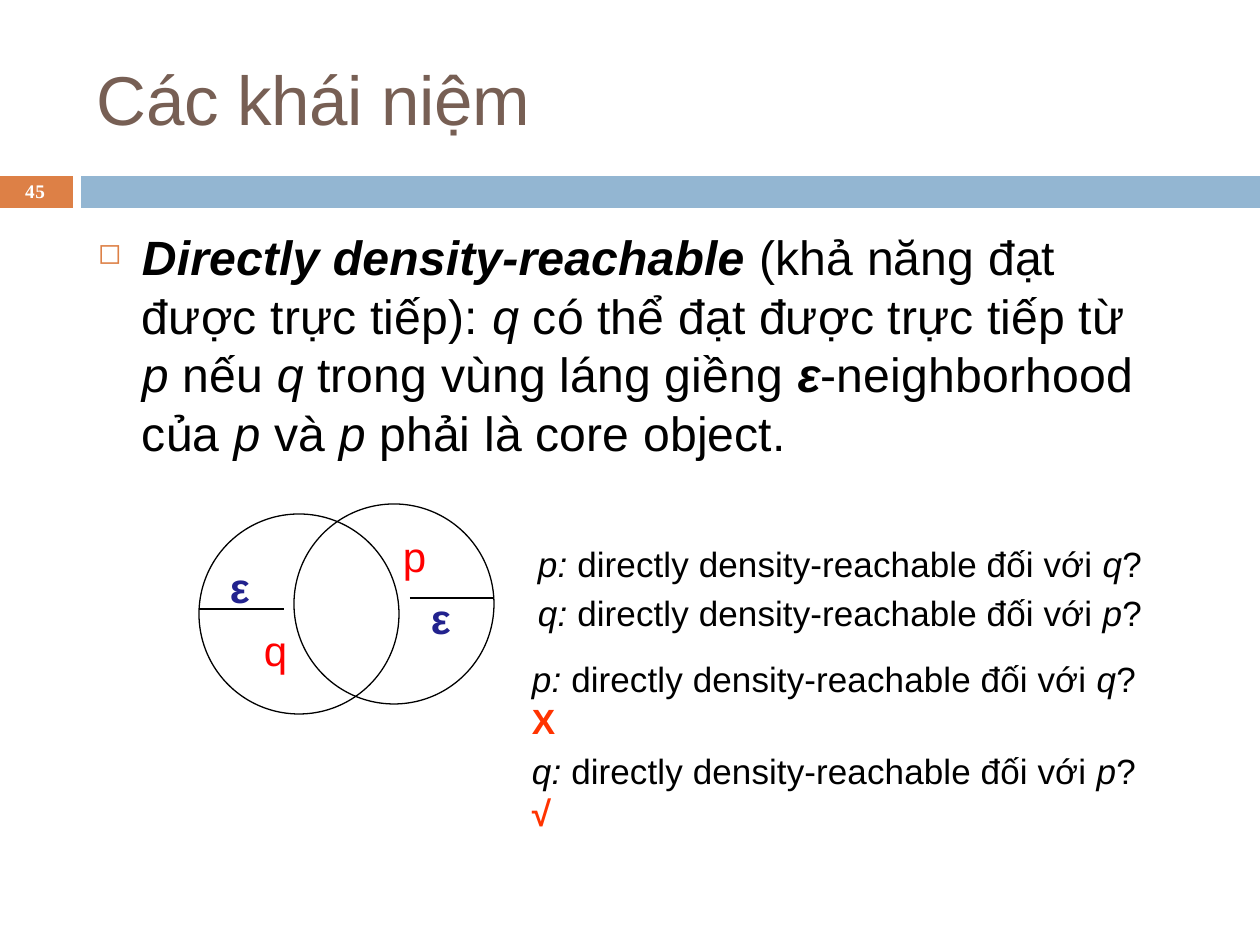
from dataclasses import dataclass
from typing import NamedTuple

from lxml import etree
from pptx import Presentation
from pptx.dml.color import RGBColor
from pptx.enum.shapes import MSO_CONNECTOR, MSO_SHAPE
from pptx.oxml.ns import qn
from pptx.util import Pt

RECT, OVAL = MSO_SHAPE.RECTANGLE, MSO_SHAPE.OVAL
STRAIGHT = MSO_CONNECTOR.STRAIGHT
EMU_PER_PX = 914400 / 126


@dataclass(frozen=True)
class Theme:
    font: str = "Arial"
    number_font: str = "Times New Roman"
    title: str = "775F54"
    ink: str = "000000"
    orange: str = "DD8046"
    blue: str = "93B6D2"
    radius: str = "22228E"
    point: str = "FF0000"
    answer: str = "FF3300"
    white: str = "FFFFFF"
    title_size: float = 39.5
    body_size: float = 27.5
    label_size: float = 24
    question_size: float = 20
    number_size: float = 11
    line: float = 0.75


T = Theme()


class Box(NamedTuple):
    x: int
    y: int
    w: int
    h: int


class Run(NamedTuple):
    text: str
    bold: bool = False
    italic: bool = False
    color: str = ""


class Para(NamedTuple):
    runs: list[Run]
    before: float = 0
    left: int = 1


class Label(NamedTuple):
    text: str
    box: Box
    color: str
    bold: bool = False


def px(n: float) -> int:
    return round(n * EMU_PER_PX)


def rgb(value: str) -> RGBColor:
    return RGBColor.from_string(value)


def add_text(s, box: Box, paras: list[Para], *, size: float, color: str = T.ink,
             font: str = T.font, spc: float = 0, top: int = 1,
             line_spacing: float = 1, bullet: str = "", hang: int = 0) -> None:
    tf = s.shapes.add_textbox(*map(px, box)).text_frame
    tf.word_wrap = True
    tf.margin_left = tf.margin_right = tf.margin_bottom = 0
    tf.margin_top = px(top)
    for i, para in enumerate(paras):
        p = tf.paragraphs[0] if i == 0 else tf.add_paragraph()
        p.line_spacing = line_spacing
        p.space_before = Pt(para.before)
        pPr = p._p.get_or_add_pPr()
        pPr.set("marL", str(px(para.left)))
        pPr.set("indent", str(px(-hang)))
        if bullet:
            clr = etree.SubElement(pPr, qn("a:buClr"))
            etree.SubElement(clr, qn("a:srgbClr"), val=T.orange)
            etree.SubElement(pPr, qn("a:buSzPct"), val="60000")
            etree.SubElement(pPr, qn("a:buChar"), char=bullet)
        for run in para.runs:
            r = p.add_run()
            r.text = run.text
            r.font.name, r.font.size = font, Pt(size)
            r.font.bold, r.font.italic = run.bold, run.italic
            r.font.color.rgb = rgb(run.color or color)
            r._r.get_or_add_rPr().set("spc", str(round(spc * 100)))


def add_bar(s, box: Box, color: str) -> None:
    sp = s.shapes.add_shape(RECT, *map(px, box))
    sp.shadow.inherit = False
    sp.fill.solid()
    sp.fill.fore_color.rgb = rgb(color)
    sp.line.fill.background()


def add_circle(s, box: Box) -> None:
    sp = s.shapes.add_shape(OVAL, *map(px, box))
    sp.shadow.inherit = False
    sp.fill.background()
    sp.line.color.rgb = rgb(T.ink)
    sp.line.width = Pt(T.line)


def add_radius(s, x1: int, x2: int, y: int) -> None:
    c = s.shapes.add_connector(STRAIGHT, px(x1), px(y), px(x2), px(y))
    c.line.color.rgb = rgb(T.ink)
    c.line.width = Pt(T.line)
    etree.SubElement(c._element.spPr, qn("a:effectLst"))


def question(subject: str, target: str, before: float, left: int,
             answer: str = "") -> Para:
    runs = [Run(f"{subject}: ", italic=True),
            Run("directly density-reachable đối với "),
            Run(target, italic=True), Run("? " if answer else "?")]
    if answer:
        runs.append(Run(answer, bold=True, color=T.answer))
    return Para(runs, before, left)


BODY = [
    Run("Directly density-reachable ", bold=True, italic=True),
    Run("(khả năng đạt được trực tiếp): "), Run("q ", italic=True),
    Run("có thể đạt được trực tiếp từ "), Run("p ", italic=True),
    Run("nếu "), Run("q ", italic=True), Run("trong vùng láng giềng "),
    Run("ε", bold=True, italic=True), Run("-neighborhood của "),
    Run("p ", italic=True), Run("và "), Run("p ", italic=True),
    Run("phải là core object."),
]
QUESTIONS = [
    question("p", "q", 0, 8),
    question("q", "p", 4.5, 8),
    question("p", "q", 13.6, 2, "X"),
    question("q", "p", 4.5, 2, "√"),
]
CIRCLES = [Box(199, 514, 200, 200), Box(294, 504, 200, 200)]
RADII = [(199, 284, 609), (410, 494, 598)]
LABELS = [
    Label("ε", Box(430, 591, 26, 54), T.radius, True),
    Label("ε", Box(229, 560, 26, 54), T.radius, True),
    Label("p", Box(402, 529, 28, 54), T.point),
    Label("q", Box(263, 623, 28, 54), T.point),
]


def main() -> None:
    prs = Presentation()
    prs.slide_width, prs.slide_height = px(1260), px(945)
    s = prs.slides.add_slide(prs.slide_layouts[6])

    # Header: title, bars and page number
    add_bar(s, Box(0, 176, 73, 32), T.orange)
    add_bar(s, Box(81, 176, 1179, 32), T.blue)
    add_text(s, Box(96, 54, 460, 87), [Para([Run("Các khái niệm")])],
             size=T.title_size, color=T.title, spc=-0.2, top=2)
    add_text(s, Box(24, 177, 30, 28), [Para([Run("45", bold=True)])],
             size=T.number_size, color=T.white, font=T.number_font,
             spc=0.5, top=2)

    # Definition
    add_text(s, Box(96, 225, 1070, 239), [Para(BODY, left=46)],
             size=T.body_size, spc=0.1, line_spacing=1.02, bullet="◻", hang=44)

    # Overlapping neighbourhoods
    for circle in CIRCLES:
        add_circle(s, circle)
    for radius in RADII:
        add_radius(s, *radius)
    for label in LABELS:
        add_text(s, label.box, [Para([Run(label.text, label.bold)])],
                 size=T.label_size, color=label.color)

    # Questions and answers
    add_text(s, Box(530, 532, 635, 219), QUESTIONS,
             size=T.question_size, spc=0.05, top=10)

    prs.save("out.pptx")


if __name__ == "__main__":
    main()
